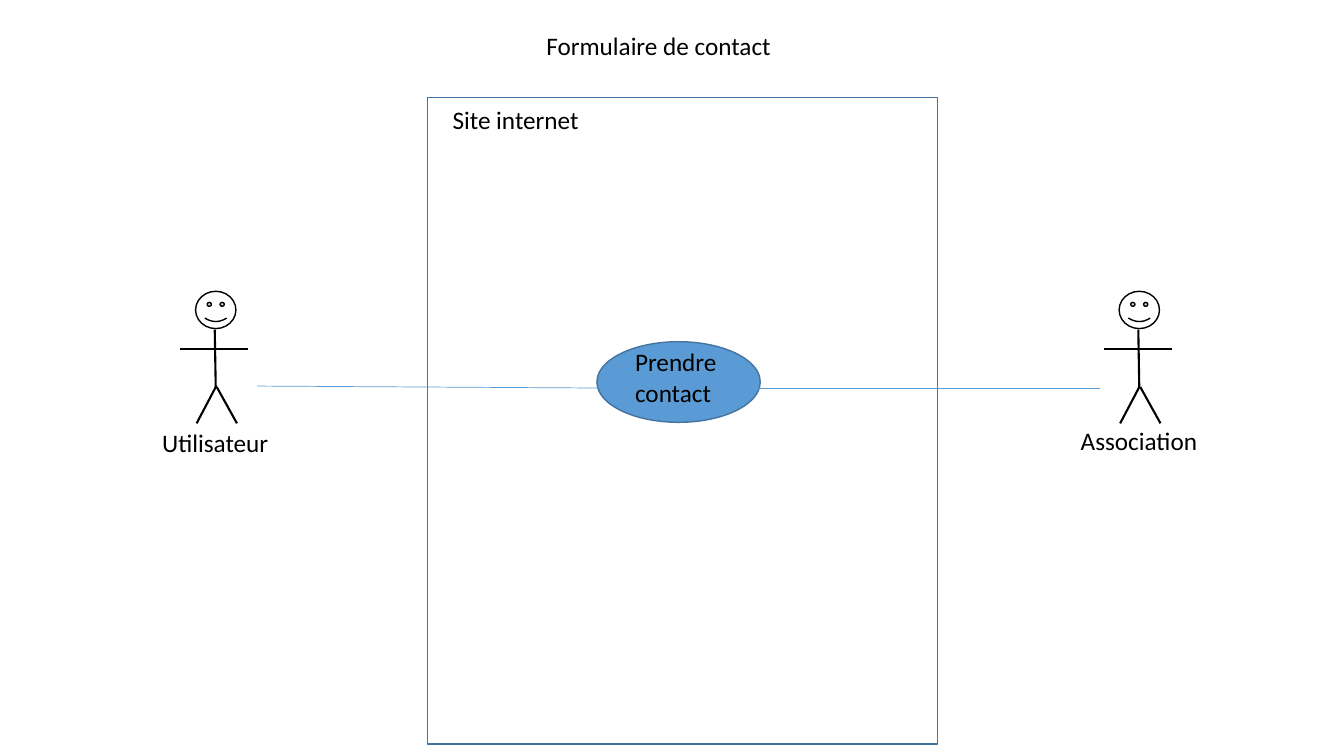
from dataclasses import dataclass

from pptx import Presentation
from pptx.dml.color import RGBColor as RGB
from pptx.enum.shapes import MSO_CONNECTOR as Link, MSO_SHAPE as Shape
from pptx.enum.text import MSO_AUTO_SIZE as AutoSize
from pptx.oxml.ns import qn
from pptx.util import Inches, Pt
from lxml.etree import SubElement


@dataclass(frozen=True)
class Theme:
    font: str = "Calibri"
    size: float = 18
    ink: str = "000000"
    paper: str = "FFFFFF"
    accent: str = "5B9BD5"
    border: str = "43739E"
    outline: float = 1
    limb: float = 1.5
    link: float = 0.5


class Diagram:
    CELL = 0.5

    def __init__(self, prs, theme):
        self.theme = theme
        self.s = prs.slides.add_slide(prs.slide_layouts[6])

    def grid(self, *cells):
        return [Inches(c * self.CELL) for c in cells]

    def stroke(self, sp, color, width):
        sp.line.color.rgb = RGB.from_string(color)
        sp.line.width = Pt(width)

    def shape(self, kind, box, fill, line):
        sp = self.s.shapes.add_shape(kind, *self.grid(*box))
        sp.shadow.inherit = False
        sp.fill.solid()
        sp.fill.fore_color.rgb = RGB.from_string(fill)
        self.stroke(sp, line, self.theme.outline)

    def text(self, words, box):
        tf = self.s.shapes.add_textbox(*self.grid(*box)).text_frame
        frame_format = {"word_wrap": True, "auto_size": AutoSize.SHAPE_TO_FIT_TEXT}
        for name, value in frame_format.items():
            setattr(tf, name, value)
        r = tf.paragraphs[0].add_run()
        r.text = words
        for name, value in {"name": self.theme.font, "size": Pt(self.theme.size)}.items():
            setattr(r.font, name, value)
        r.font.color.rgb = RGB.from_string(self.theme.ink)

    def line(self, ends, color, width):
        sp = self.s.shapes.add_connector(Link.STRAIGHT, *self.grid(*ends))
        self.stroke(sp, color, width)
        SubElement(sp._element.spPr, qn("a:effectLst"))

    def actor(self, col, row):
        t = self.theme
        self.shape(Shape.SMILEY_FACE, (col, row, 0.8, 0.74), t.paper, t.ink)
        limbs = (
            (0.38, 0.76, 0.4, 1.92),
            (-0.3, 1.14, 1.04, 1.14),
            (0.42, 1.9, 0.82, 2.62),
            (0.4, 1.9, 0.02, 2.62),
        )
        for x1, y1, x2, y2 in limbs:
            self.line((col + x1, row + y1, col + x2, row + y2), t.ink, t.limb)


def main():
    prs = Presentation()
    prs.slide_width, prs.slide_height = Inches(13.33), Inches(7.5)
    t = Theme()
    d = Diagram(prs, t)

    d.shape(Shape.RECTANGLE, (8.48, 1.94, 10.12, 12.82), t.paper, t.border)
    d.text("Formulaire de contact", (10.64, 0.5, 5.34, 0.8))
    d.shape(Shape.OVAL, (11.84, 6.78, 3.24, 1.6), t.accent, t.border)
    d.text("Site internet", (8.78, 1.98, 3.32, 0.8))
    d.text("Prendre contact", (12.4, 6.78, 2.3, 1.42))

    for ends in ((5.1, 7.66, 12.1, 7.7), (21.82, 7.7, 14.7, 7.7)):
        d.line(ends, t.accent, t.link)

    actors = (
        ("Utilisateur", (3.02, 8.38, 2.58, 0.8), 3.88),
        ("Association", (21.24, 8.34, 2.98, 0.8), 22.2),
    )
    for name, box, col in actors:
        d.text(name, box)
        d.actor(col, 5.78)

    prs.save("out.pptx")


if __name__ == "__main__":
    main()
